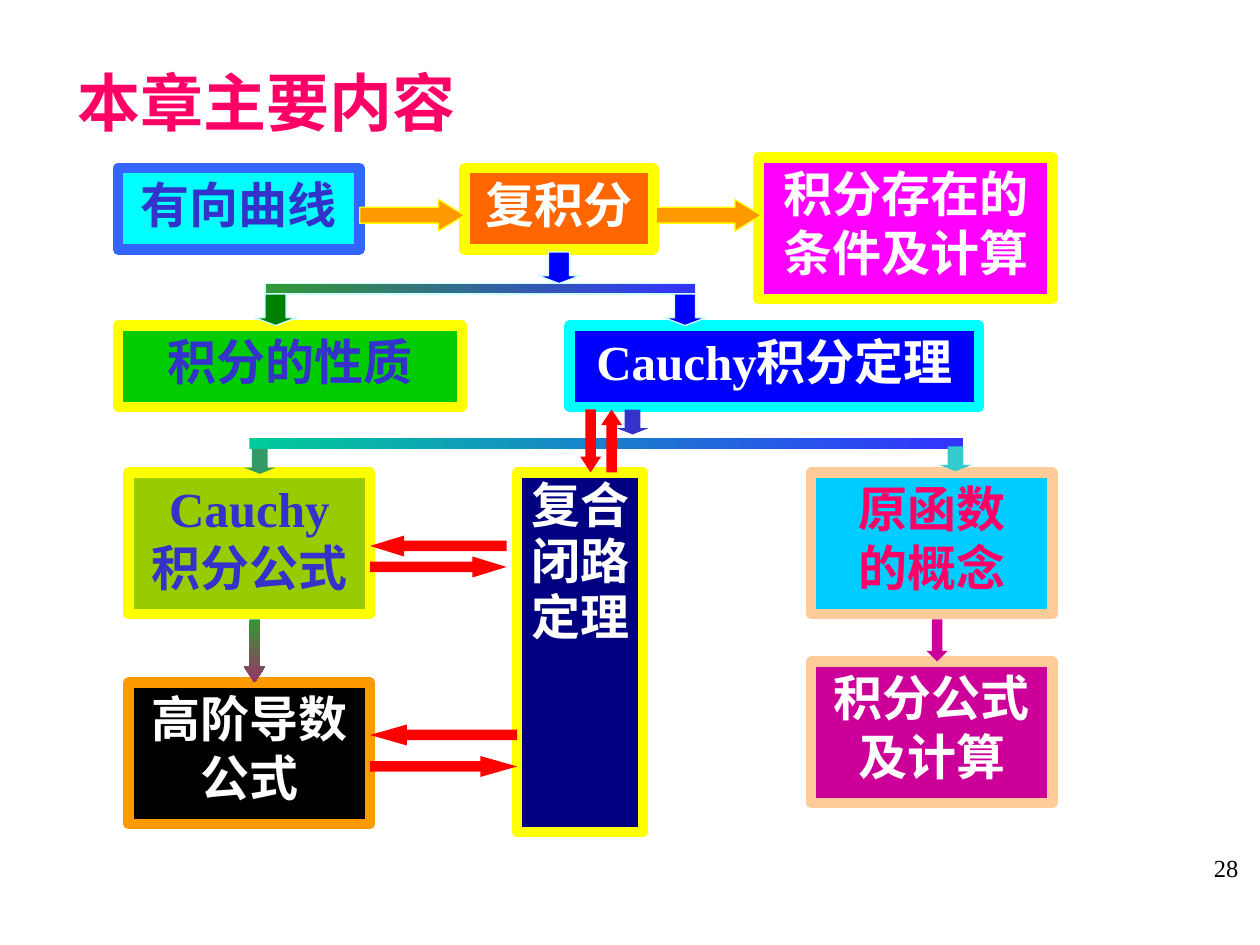
import pptx
import pptx.util
import pptx.dml.color
import pptx.enum.shapes
import pptx.enum.text
import pptx.oxml.ns
from lxml import etree

RGB = pptx.dml.color.RGBColor
KIND = pptx.enum.shapes.MSO_SHAPE
ALIGN = pptx.enum.text.PP_ALIGN
ANCHOR = pptx.enum.text.MSO_ANCHOR

SCALE = 9525  # EMU per px, 96 px to the inch
SERIF = "Times New Roman"
SANS = "Noto Sans CJK SC"

BLACK = RGB(0, 0, 0)
WHITE = RGB(255, 255, 255)
RED = RGB(255, 0, 0)
ROSE = RGB(255, 0, 102)
PINK = RGB(255, 0, 255)
PLUM = RGB(204, 0, 153)
WINE = RGB(153, 51, 102)
RUST = RGB(255, 102, 0)
ORANGE = RGB(255, 153, 0)
PEACH = RGB(255, 204, 153)
YELLOW = RGB(255, 255, 0)
LIME = RGB(153, 204, 0)
GREEN = RGB(0, 204, 0)
FOREST = RGB(0, 128, 0)
LEAF = RGB(51, 153, 51)
MOSS = RGB(51, 153, 102)
MINT = RGB(0, 204, 153)
TEAL = RGB(51, 204, 204)
CYAN = RGB(0, 255, 255)
ICE = RGB(204, 255, 255)
SKY = RGB(0, 204, 255)
AZURE = RGB(51, 102, 255)
BLUE = RGB(0, 0, 255)
IRIS = RGB(51, 51, 255)
INDIGO = RGB(51, 51, 204)
NAVY = RGB(0, 0, 128)


def px(n):
    return pptx.util.Emu(n * SCALE)


def place(shape, x, y, w, h):
    shape.left, shape.top, shape.width, shape.height = map(px, (x, y, w, h))


def add_run(para, text, size, color, font, bold=True):
    run = para.add_run()
    run.text = text
    run.font.size = pptx.util.Pt(size)
    run.font.bold = bold
    run.font.name = font
    run.font.color.rgb = color
    east = etree.SubElement(run.font._element, pptx.oxml.ns.qn("a:ea"))
    east.set("typeface", SANS)


def add_shape(slide, kind, area, fill, edge=None, width=0.75, angle=0):
    """Add a preset shape; a pair of colours as fill makes a gradient."""
    shape = slide.shapes.add_shape(kind, *map(px, area))
    shape.shadow.inherit = False
    if isinstance(fill, tuple) and not isinstance(fill, RGB):
        shape.fill.gradient()
        shape.fill.gradient_angle = angle
        for stop, color, at in zip(shape.fill.gradient_stops, fill, (0, 1)):
            stop.color.rgb = color
            stop.position = at
    else:
        shape.fill.solid()
        shape.fill.fore_color.rgb = fill
    if edge is None:
        shape.line.fill.background()
    else:
        shape.line.color.rgb = edge
        shape.line.width = pptx.util.Pt(width)
    return shape


def add_box(slide, area, lines, fill, edge, color, font=SANS, space=None):
    frame = add_shape(slide, KIND.RECTANGLE, area, fill, edge, 6).text_frame
    frame.word_wrap = True
    frame.vertical_anchor = ANCHOR.TOP
    for i, line in enumerate(lines):
        para = frame.add_paragraph() if i else frame.paragraphs[0]
        para.alignment = ALIGN.CENTER
        para.line_spacing = space
        add_run(para, line, 28, color, font)


def add_arrow(slide, kind, area, fill, edge=None):
    """Add a block arrow whose head takes a quarter of its length."""
    shape = add_shape(slide, kind, area, fill, edge, angle=270)
    long, short = max(area[2:]), min(area[2:])
    if kind == KIND.DOWN_ARROW:
        short, long = area[2:]
    shape.adjustments[0] = 0.5
    shape.adjustments[1] = max(0.25, long / short / 4)


def add_title(slide):
    title = slide.shapes.title
    place(title, -15, 45, 412, 64)
    frame = title.text_frame
    frame.word_wrap = True
    frame.vertical_anchor = ANCHOR.MIDDLE
    frame.margin_left = px(34)
    para = frame.paragraphs[0]
    para.alignment = ALIGN.CENTER
    add_run(para, "本章主要内容", 36, ROSE, SERIF)


def add_number(slide):
    frame = slide.shapes.add_textbox(*map(px, (753, 645, 200, 48))).text_frame
    frame.word_wrap = True
    para = frame.paragraphs[0]
    para.alignment = ALIGN.RIGHT
    add_run(para, "28", 14, BLACK, SERIF, bold=False)


def add_boxes(slide):
    for area, lines, *style in (
        ((90, 128, 184, 62), ["有向曲线"], CYAN, AZURE, INDIGO),
        ((354, 128, 144, 62), ["复积分"], RUST, YELLOW, WHITE),
        ((578, 120, 224, 108), ["积分存在的", "条件及计算"], PINK, YELLOW, WHITE),
        ((90, 248, 262, 62), ["积分的性质"], GREEN, YELLOW, INDIGO, SERIF),
        ((434, 248, 312, 62), ["Cauchy积分定理"], BLUE, CYAN, WHITE, SERIF),
        ((618, 360, 184, 108), ["原函数", "的概念"], SKY, PEACH, ROSE),
        ((394, 360, 96, 274), ["复合闭路定理"], NAVY, YELLOW, WHITE, SANS, 0.95),
        ((98, 360, 184, 108), ["Cauchy", "积分公式"], LIME, YELLOW, INDIGO, SERIF),
        ((98, 520, 184, 108), ["高阶导数公式"], BLACK, ORANGE, WHITE, SERIF),
        ((618, 504, 184, 108), ["积分公式及计算"], PLUM, PEACH, WHITE),
    ):
        add_box(slide, area, lines, *style)


def add_links(slide):
    add_shape(slide, KIND.RECTANGLE, (190, 334, 544, 8), (MINT, IRIS))
    for x, y, color in ((186, 342, MOSS), (470, 312, INDIGO), (716, 340, TEAL)):
        add_arrow(slide, KIND.DOWN_ARROW, (x, y, 24, 19), color)
    for x in (500, 274):
        add_arrow(slide, KIND.RIGHT_ARROW, (x, 152, 80, 24), ORANGE, YELLOW)
    add_arrow(slide, KIND.DOWN_ARROW, (186, 472, 16, 48), (LEAF, WINE))
    add_shape(slide, KIND.RECTANGLE, (202, 216, 328, 8), (LEAF, IRIS), ICE)
    for x, y, color in ((410, 192, BLUE), (194, 224, FOREST), (506, 224, BLUE)):
        add_arrow(slide, KIND.DOWN_ARROW, (x, y, 32, 24), color, ICE)
    for kind, *area in (
        (KIND.LEFT_ARROW, 282, 408, 104, 16),
        (KIND.RIGHT_ARROW, 282, 424, 104, 16),
        (KIND.DOWN_ARROW, 442, 312, 16, 48),
        (KIND.UP_ARROW, 458, 312, 16, 48),
        (KIND.LEFT_ARROW, 282, 552, 112, 16),
        (KIND.RIGHT_ARROW, 282, 576, 112, 16),
    ):
        add_arrow(slide, kind, area, RED)
    add_arrow(slide, KIND.DOWN_ARROW, (706, 472, 16, 32), PLUM)


def main():
    deck = pptx.Presentation()
    deck.slide_width, deck.slide_height = px(960), px(720)
    slide = deck.slides.add_slide(deck.slide_layouts[5])
    add_number(slide)
    add_title(slide)
    add_boxes(slide)
    add_links(slide)
    deck.save("out.pptx")


if __name__ == "__main__":
    main()
